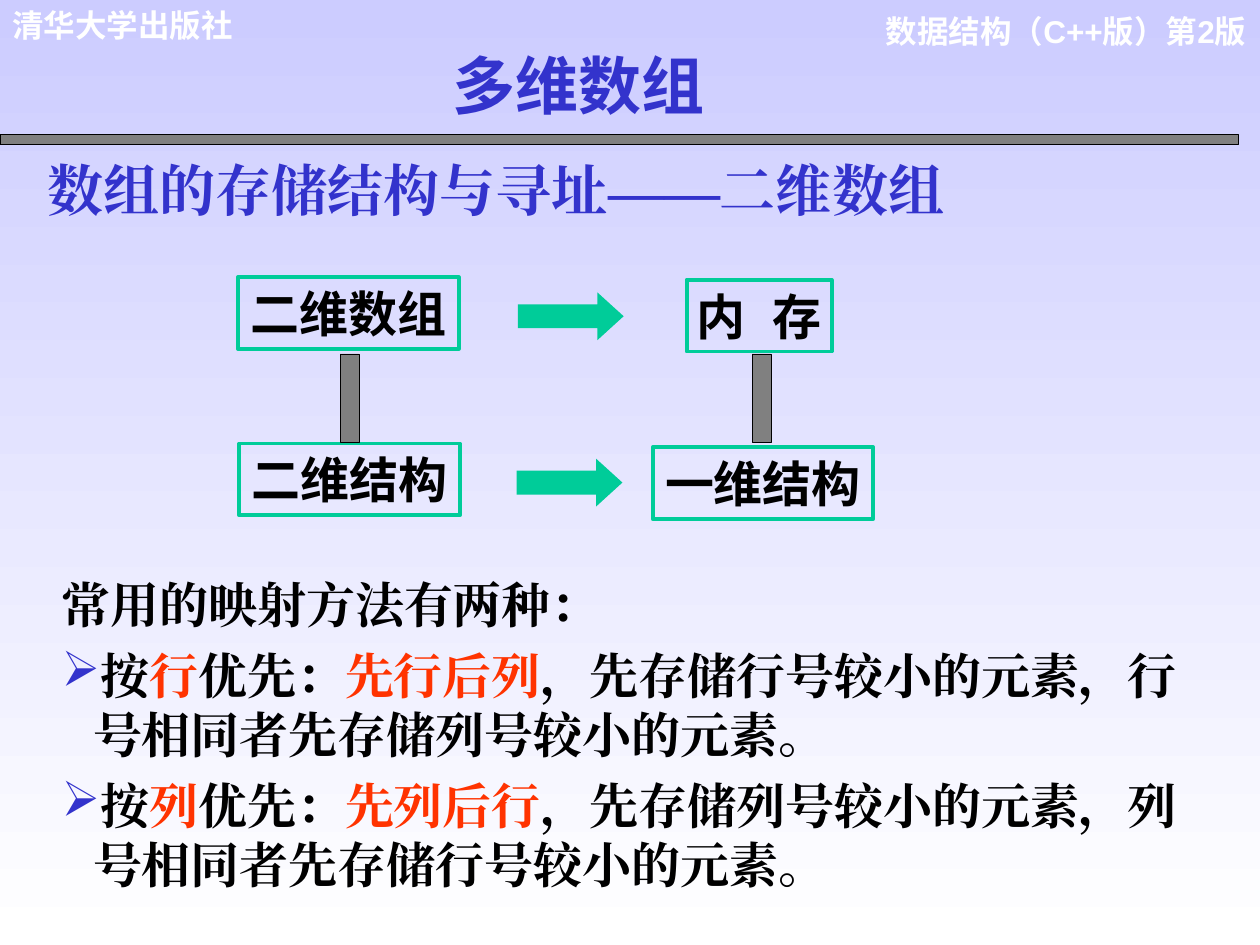
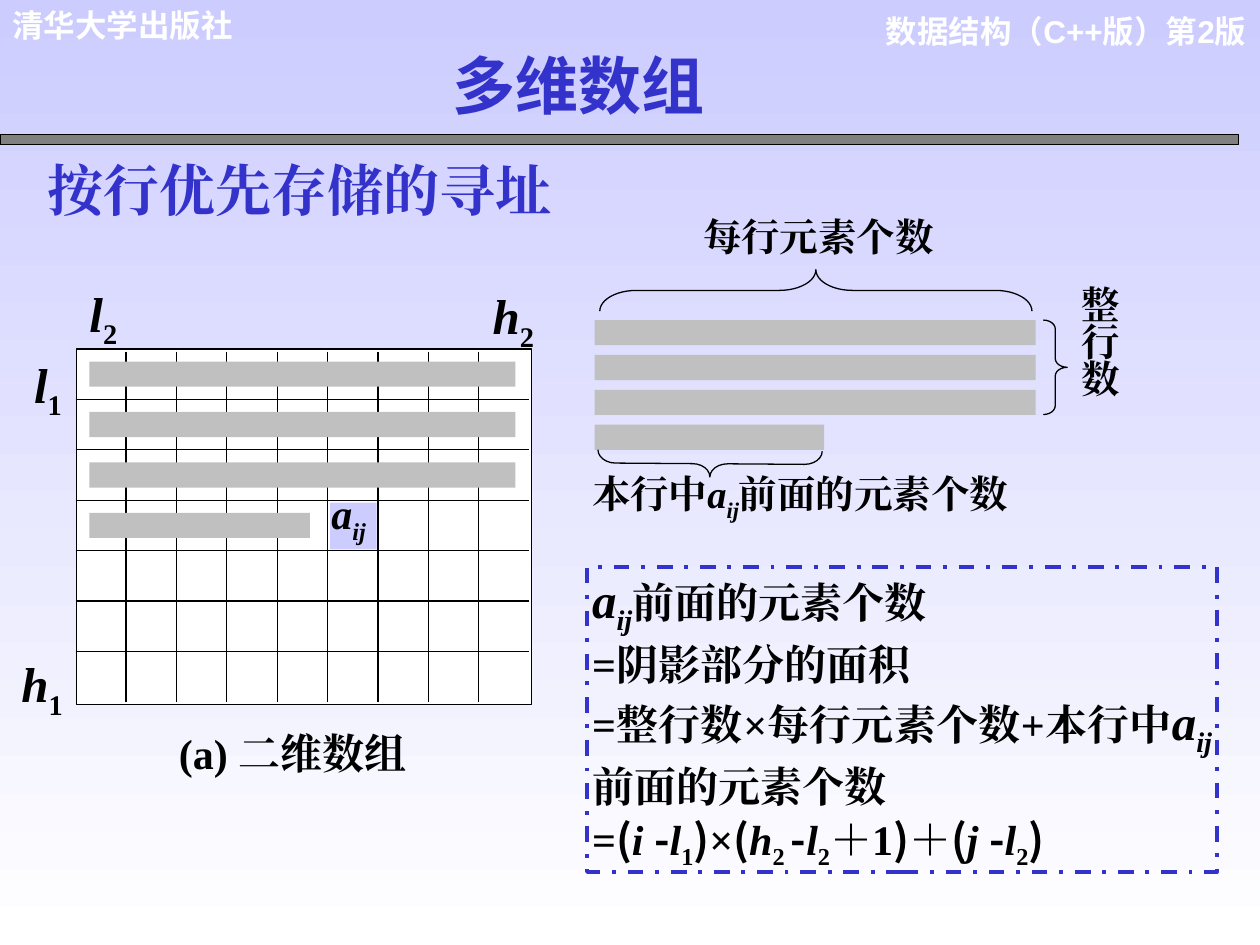
from pptx import Presentation
from pptx.dml.color import RGBColor
from pptx.enum.dml import MSO_LINE
from pptx.enum.shapes import MSO_CONNECTOR, MSO_SHAPE as Shape
from pptx.enum.text import MSO_ANCHOR as Anchor, PP_ALIGN as Align
from pptx.oxml import parse_xml
from pptx.oxml.ns import nsdecls, qn
from pptx.util import Inches, Pt
from lxml import etree

INDIGO = RGBColor(0x33, 0x33, 0xCC)
LAVENDER = RGBColor(0xCC, 0xCC, 0xFF)
GREEN = RGBColor(0x00, 0xCC, 0x99)
RED = RGBColor(0xFF, 0x33, 0x00)
GRAY = RGBColor(0x80, 0x80, 0x80)
SILVER = RGBColor(0xC0, 0xC0, 0xC0)
BLACK = RGBColor(0, 0, 0)
WHITE = RGBColor(0xFF, 0xFF, 0xFF)

SERIF, SANS, CJK = "Times New Roman", "Arial", "Noto Sans CJK SC"
CELL = Inches(0.1)  # the slide is a grid of 100 columns by 75 rows
PADDED, TIGHT = (1, 0.5), (0, 0)


def add_box(slide, at, kind=None, fill=None, line=None, weight=0.75):
    """Place a preset shape, or a text box if no kind is given, in grid cells."""
    place = [round(cells * CELL) for cells in at]
    if kind is None:
        return slide.shapes.add_textbox(*place)
    box = slide.shapes.add_shape(kind, *place)
    box.shadow.inherit = False
    if fill is None:
        box.fill.background()
    else:
        box.fill.solid()
        box.fill.fore_color.rgb = fill
    if line is None:
        box.line.fill.background()
    else:
        box.line.color.rgb = line
        box.line.width = Pt(weight)
    return box


def write(box, paragraphs, size, font=SERIF, color=BLACK, align=Align.LEFT,
          inset=TIGHT, anchor=Anchor.TOP, wrap=True, leading=None):
    """Fill a box with paragraphs of (text, flags) runs.

    Flags: i italic, s subscript, r red, n sans CJK font, + four points larger.
    """
    frame = box.text_frame
    frame.word_wrap = wrap
    frame.vertical_anchor = anchor
    frame.margin_left = frame.margin_right = round(inset[0] * CELL)
    frame.margin_top = frame.margin_bottom = round(inset[1] * CELL)
    for number, runs in enumerate(paragraphs):
        paragraph = frame.add_paragraph() if number else frame.paragraphs[0]
        paragraph.alignment = align
        if leading:
            paragraph.line_spacing = leading
        for text, flags in runs:
            run = paragraph.add_run()
            run.text = text
            style = run.font
            style.size = Pt(size + 4 * ("+" in flags))
            style.bold = True
            style.italic = "i" in flags
            style.color.rgb = RED if "r" in flags else color
            style.name = CJK if "n" in flags else font
            properties = run._r.get_or_add_rPr()
            etree.SubElement(properties, qn("a:ea")).set("typeface", font)
            if "s" in flags:
                properties.set("baseline", "-25000")


prs = Presentation()
prs.slide_width, prs.slide_height = 100 * CELL, 75 * CELL

# Shared background, header and band
backdrop = prs.slide_master.background.fill
backdrop.gradient()
backdrop.gradient_angle = 270
for stop, shade in zip(backdrop.gradient_stops, (LAVENDER, WHITE)):
    stop.color.rgb = shade

layout = prs.slide_layouts[5]
for placeholder in list(layout.placeholders)[1:]:
    layout.shapes.element.remove(placeholder.element)
mapping, addressing = [prs.slides.add_slide(layout) for _ in range(2)]

book = add_box(mapping, (69.2, 0.5, 30.7, 7))
write(book, [[("数据结构（C++版）第2版", "")]], 18, SANS, WHITE, Align.RIGHT, PADDED)
publisher = add_box(mapping, (0, 0, 27.1, 4))
write(publisher, [[("清华大学出版社", "")]], 18, SANS, WHITE, inset=PADDED)
band = add_box(mapping, (0, 10.7, 98.3, 0.8), Shape.RECTANGLE, GRAY, BLACK)
for shared in (book, publisher, band):
    layout.shapes.element.append(shared.element)

for slide, topic in ((mapping, "数组的存储结构与寻址——二维数组"),
                     (addressing, "按行优先存储的寻址")):
    title = slide.shapes.title
    title.left, title.top, title.width, title.height = [
        round(cells * CELL) for cells in (20.2, 3.2, 51.5, 7)]
    write(title, [[("多维数组", "")]], 36, CJK, INDIGO, Align.CENTER, PADDED, Anchor.MIDDLE)
    title_run = title.text_frame.paragraphs[0].runs[0]._r
    title_run.rPr.find(qn("a:solidFill")).addnext(parse_xml(
        f'<a:effectLst {nsdecls("a")}><a:outerShdw dist="25400" dir="2700000">'
        '<a:srgbClr val="808080"/></a:outerShdw></a:effectLst>'))
    write(add_box(slide, (2.8, 11.8, 88.3, 6.4)), [[(topic, "")]], 32,
          color=INDIGO, inset=PADDED, anchor=Anchor.MIDDLE)

# Slide 1: from two dimensions to memory
for left, top, width, label in (
    (18.9, 22, 17.5, "二维数组"), (54.5, 22.2, 11.5, "内 存"),
    (19, 35.2, 17.5, "二维结构"), (51.8, 35.5, 17.5, "一维结构"),
):
    node = add_box(mapping, (left, top, width, 5.7), Shape.RECTANGLE, None, GREEN, 2.25)
    write(node, [[(label, "")]], 28, SANS, align=Align.CENTER, inset=PADDED,
          anchor=Anchor.MIDDLE, wrap=False)
    if " " in label:
        node.text_frame.paragraphs[0].runs[0]._r.rPr.set("spc", "400")
for left, top in ((41.1, 23.2), (41, 36.4)):
    arrow = add_box(mapping, (left, top, 8.4, 3.8), Shape.RIGHT_ARROW, GREEN)
    arrow.adjustments[1] = 0.55
for left in (27, 59.7):
    add_box(mapping, (left, 28.1, 1.5, 7), Shape.RECTANGLE, GRAY, BLACK, 0.5)

methods = add_box(mapping, (3.9, 45.1, 90.8, 26.3))
write(methods, [[("常用的映射方法有两种：", "")]] + [
    [("按", ""), (first, "r"), ("优先：", ""), (f"先{first}后{then}", "rn"),
     (f"，先存储{first}号较小的元素，{first}号相同者先存储{then}号较小的元素。", "")]
    for first, then in (("行", "列"), ("列", "行"))
], 28, inset=PADDED)
for method in methods.text_frame.paragraphs[1:]:
    method.space_before = Pt(7)
    properties = method._p.get_or_add_pPr()
    properties.set("marL", str(Inches(0.25)))
    properties.set("indent", str(-Inches(0.25)))
    bullet_color = etree.SubElement(properties, qn("a:buClr"))
    etree.SubElement(bullet_color, qn("a:srgbClr")).set("val", str(INDIGO))
    etree.SubElement(properties, qn("a:buChar")).set("char", "➢")

# Slide 2: the array with its bounds
add_box(addressing, (6.1, 27.7, 36.1, 28.2), Shape.RECTANGLE, WHITE, BLACK)
row_lines = [(6, 31.7 + 4 * row, 42, 31.7 + 4 * row) for row in range(6)]
column_lines = [(10 + 4 * col, 27.9, 10 + 4 * col, 55.7) for col in range(8)]
for ends in row_lines + column_lines:
    rule = addressing.shapes.add_connector(
        MSO_CONNECTOR.STRAIGHT, *[round(cells * CELL) for cells in ends])
    rule.line.color.rgb = BLACK
    rule.line.width = Pt(0.75)
    etree.SubElement(rule.element.spPr, qn("a:effectLst"))

for left, top, step, full, partial in ((7.1, 28.7, 4, 33.8, 17.5),
                                       (47.2, 25.4, 2.77, 35, 18.2)):
    for row, width in enumerate((full, full, full, partial)):
        add_box(addressing, (left, top + step * row, width, 2), Shape.RECTANGLE, SILVER)

for left, top, letter, index in ((7.1, 22.5, "l", "2"), (39.1, 22.7, "h", "2"),
                                 (2.7, 28.1, "l", "1"), (1.7, 51.9, "h", "1")):
    write(add_box(addressing, (left, top, 4.2, 4)), [[(letter, "i"), (index, "s")]], 28)
element = [("a", "i"), ("ij", "is")]
add_box(addressing, (26.2, 39.9, 3.7, 3.7), Shape.RECTANGLE, LAVENDER)
write(add_box(addressing, (25.7, 38.6, 5.4, 4.8)), [element], 24, inset=(0.6, 0.1))
write(add_box(addressing, (14.2, 57.7, 22.7, 6.5)), [[("(a) 二维数组", "")]], 24)

# Slide 2: the shaded elements, measured
for at, kind, turn, curve in (
    ((82.8, 25.4, 1.9, 7.5), Shape.RIGHT_BRACE, 0, 0.37),
    ((63.1, 5.9, 3.3, 34.3), Shape.LEFT_BRACE, 90, 0.88),
    ((55.3, 27.9, 2.1, 17.8), Shape.LEFT_BRACE, 270.4, 0.67),
):
    brace = add_box(addressing, at, kind, None, BLACK)
    brace.rotation = turn
    brace.adjustments[0] = curve
before = ("前面的元素个数", "")
write(add_box(addressing, (55.8, 16.9, 25.1, 3.8)), [[("每行元素个数", "")]], 22)
write(add_box(addressing, (85.8, 23, 3.8, 11)), [[("整行数", "")]], 22, leading=0.8)
write(add_box(addressing, (47, 37.3, 39, 4.6)), [[("本行中", ""), *element, before]], 22)

large_element = [("a", "i+"), ("ij", "is+")]
formula = add_box(addressing, (46.6, 45, 50, 24.2), Shape.RECTANGLE, None, INDIGO, 2.25)
formula.line.dash_style = MSO_LINE.DASH_DOT
write(formula, [
    [*large_element, before],
    [("=阴影部分的面积", "")],
    [("=整行数×每行元素个数+本行中", ""), *large_element, before],
    [("=", ""), ("(", "n"), ("i ", "i"), ("-", "n"), ("l", "i"), ("1", "s"), (")", "n"),
     ("×", ""), ("(", "n"), ("h", "i"), ("2 ", "s"), ("-", "n"), ("l", "i"), ("2", "s"),
     ("＋1", ""), (")", "n"), ("＋", ""), ("(", "n"), ("j ", "i"), ("-", "n"),
     ("l", "i"), ("2", "s"), (")", "n")],
], 24, align=Align.JUSTIFY, inset=(0.4, 0), leading=1.04)

prs.save("out.pptx")
